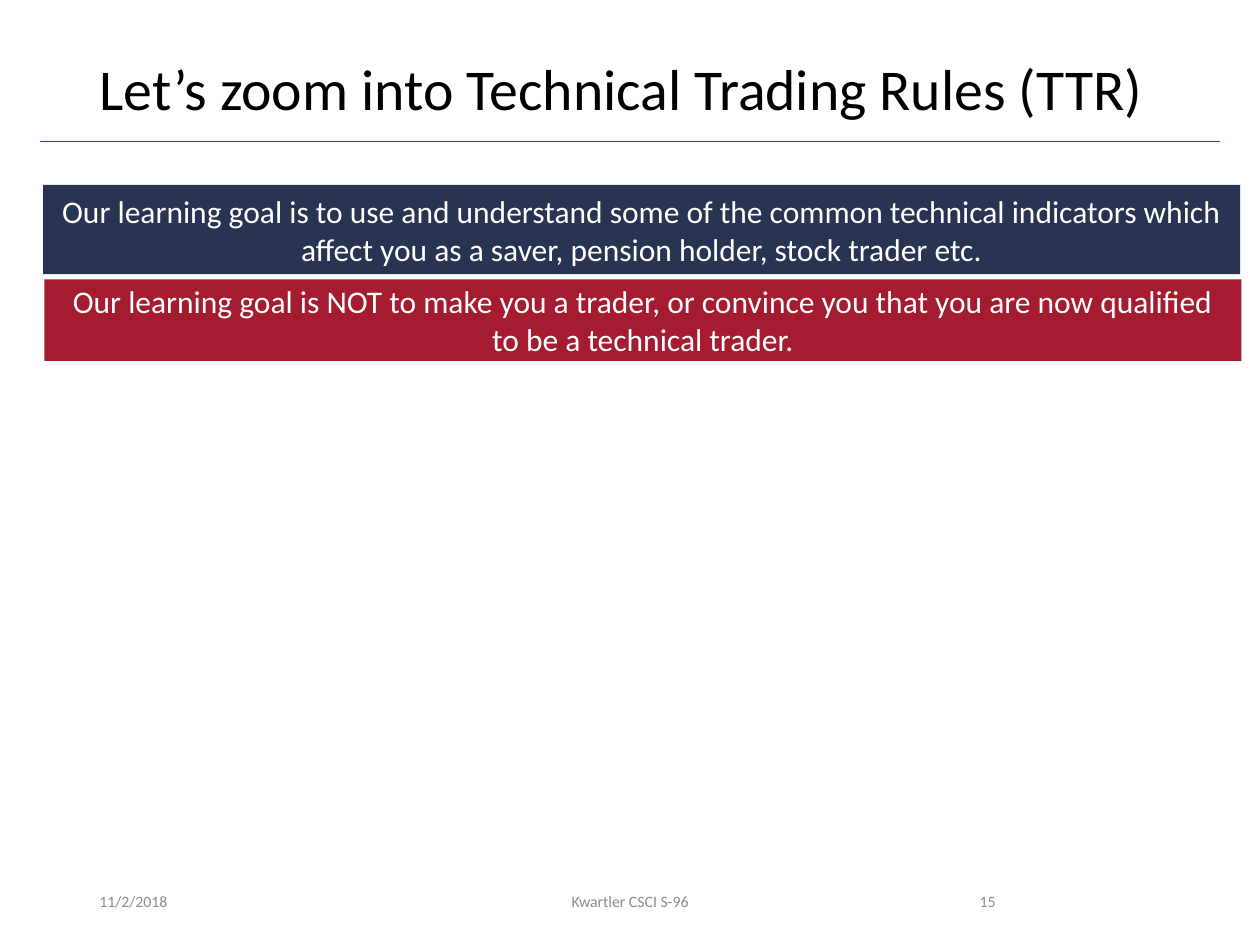
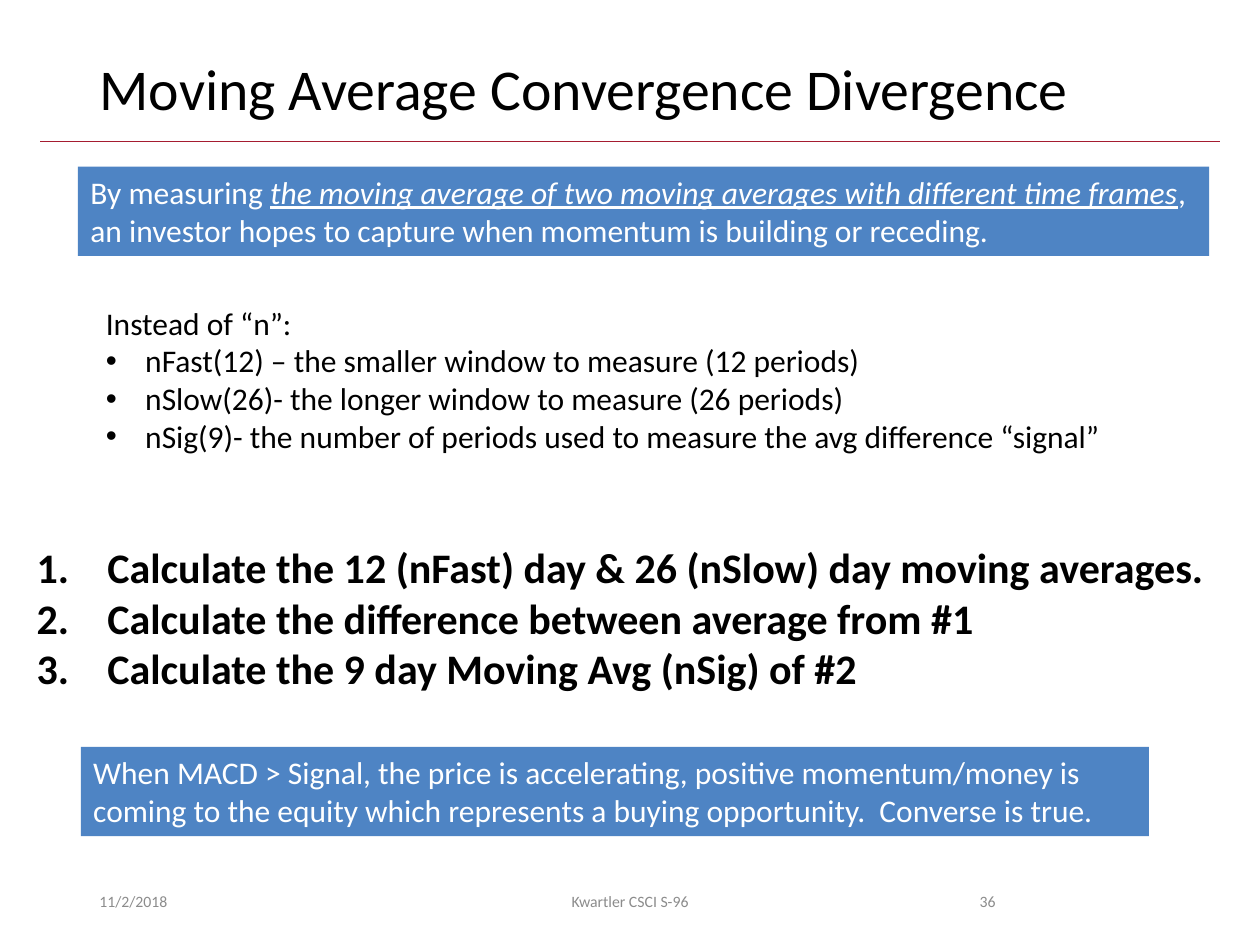
import pptx
import pptx.util
import pptx.dml.color
import pptx.enum.shapes
import pptx.enum.text
import pptx.oxml
import pptx.oxml.ns

Pt = pptx.util.Pt
Align = pptx.enum.text.PP_ALIGN
Anchor = pptx.enum.text.MSO_ANCHOR


class Theme:
    font = "Calibri"
    black, white, gray = "000000", "FFFFFF", "8C8C8C"
    navy, crimson, blue = "293352", "A51C30", "4E84C4"
    title_size, step_size, text_size, footer_size = 33, 24, 18, 9


def style(paragraph, size, color, align=Align.LEFT, bold=False):
    paragraph.alignment = align
    paragraph.space_before = Pt(0)
    for span in paragraph.runs:
        span.font.name = Theme.font
        span.font.size = Pt(size)
        span.font.bold = bold
        span.font.color.rgb = pptx.dml.color.RGBColor.from_string(color)


def place(shape, left, top, width, height):
    shape.left, shape.top = Pt(left), Pt(top)
    shape.width, shape.height = Pt(width), Pt(height)


deck = pptx.Presentation()
deck.slide_width, deck.slide_height = Pt(720), Pt(540)
title_only, two_content = deck.slide_layouts[5], deck.slide_layouts[3]

# Shared frame: title, rule and footer
pages = []
for layout, title, number in [
    (title_only, "Let’s zoom into Technical Trading Rules (TTR)", "15"),
    (two_content, "Moving Average Convergence Divergence", "36"),
]:
    page = deck.slides.add_slide(layout)
    pages.append(page)

    heading = page.shapes.title
    place(heading, 49.7, 28.8, 620.6, 46.8)
    heading.text_frame.text = title
    heading.text_frame.vertical_anchor = Anchor.MIDDLE
    heading.text_frame.auto_size = pptx.enum.text.MSO_AUTO_SIZE.NONE
    heading.text_frame.paragraphs[0].line_spacing = 0.9
    style(heading.text_frame.paragraphs[0], Theme.title_size, Theme.black)

    rule = page.shapes.add_connector(
        pptx.enum.shapes.MSO_CONNECTOR.STRAIGHT, Pt(23), Pt(80.6), Pt(697), Pt(80.6))
    rule.line.color.rgb = pptx.dml.color.RGBColor.from_string(Theme.crimson)
    rule.line.width = Pt(0.5)
    properties = rule._element.spPr
    properties.append(pptx.oxml.parse_xml(
        f"<a:effectLst {pptx.oxml.ns.nsdecls('a')}/>"))

    for text, left, width, align in [
        ("11/2/2018", 49.7, 162, Align.LEFT),
        ("Kwartler CSCI S-96", 238.5, 243, Align.CENTER),
        (number, 508.5, 67.5, Align.RIGHT),
    ]:
        footer = page.shapes.add_textbox(Pt(left), Pt(500.5), Pt(width), Pt(28.8))
        footer.text_frame.word_wrap = True
        footer.text_frame.vertical_anchor = Anchor.MIDDLE
        footer.text_frame.text = text
        style(footer.text_frame.paragraphs[0], Theme.footer_size, Theme.gray, align)

goals_page, macd_page = pages

# Coloured banners; each text is a list of spans, odd spans are emphasised
for page, bounds, fill, align, anchor, texts in [
    (goals_page, (24.7, 105.7, 684, 51), Theme.navy, Align.CENTER, Anchor.MIDDLE,
     ["Our learning goal is to use and understand some of the common technical "
      "indicators which affect you as a saver, pension holder, stock trader etc."]),
    (goals_page, (25.4, 159.7, 684, 46.6), Theme.crimson, Align.CENTER, Anchor.MIDDLE,
     ["Our learning goal is NOT to make you a trader, or convince you that you "
      "are now qualified to be a technical trader."]),
    (macd_page, (44.6, 95.2, 646.4, 51), Theme.blue, Align.LEFT, Anchor.TOP,
     ["By measuring ",
      "the moving average of two moving averages with different time frames",
      ", an investor hopes to capture when momentum is building or receding."]),
    (macd_page, (46.2, 426.8, 610.4, 51), Theme.blue, Align.LEFT, Anchor.TOP,
     ["When MACD > Signal, the price is accelerating, positive momentum/money is "
      "coming to the equity which represents a buying opportunity.  Converse is true."]),
]:
    banner = page.shapes.add_shape(
        pptx.enum.shapes.MSO_SHAPE.RECTANGLE, *[Pt(length) for length in bounds])
    banner.shadow.inherit = False
    banner.fill.solid()
    banner.fill.fore_color.rgb = pptx.dml.color.RGBColor.from_string(fill)
    banner.line.fill.background()
    banner.text_frame.word_wrap = True
    banner.text_frame.vertical_anchor = anchor
    para = banner.text_frame.paragraphs[0]
    for position, text in enumerate(texts):
        span = para.add_run()
        span.text = text
        if position % 2:
            span.font.italic = span.font.underline = True
    style(para, Theme.text_size, Theme.white, align)

# Parameter list and numbered steps
no_bullet = "<a:buNone {}/>"
dot = '<a:buChar {} char="•"/>'
numbered = '<a:buAutoNum {} type="arabicPeriod"/>'
for index, bounds, size, bold, indent, items in [
    (1, (53.3, 169.9, 584.6, 94.5), Theme.text_size, False, 22.5, [
        (no_bullet, "Instead of “n”:"),
        (dot, "nFast(12) – the smaller window to measure (12 periods)"),
        (dot, "nSlow(26)- the longer window to measure (26 periods)"),
        (dot, "nSig(9)- the number of periods used to measure the avg difference “signal”"),
    ]),
    (2, (13.7, 306, 687.6, 94.5), Theme.step_size, True, 40.5, [
        (numbered, "Calculate the 12 (nFast) day & 26 (nSlow) day moving averages."),
        (numbered, "Calculate the difference between average from #1"),
        (numbered, "Calculate the 9 day Moving Avg (nSig) of #2"),
    ]),
]:
    box = macd_page.placeholders[index]
    place(box, *bounds)
    frame = box.text_frame
    frame.word_wrap = False
    frame.auto_size = pptx.enum.text.MSO_AUTO_SIZE.SHAPE_TO_FIT_TEXT
    frame.text = "\n".join(text for bullet, text in items)
    for para, (bullet, text) in zip(frame.paragraphs, items):
        hanging = 0 if bullet == no_bullet else Pt(indent)
        settings = para._p.get_or_add_pPr()
        settings.set("marL", str(hanging))
        settings.set("indent", str(-hanging))
        settings.append(pptx.oxml.parse_xml(bullet.format(pptx.oxml.ns.nsdecls("a"))))
        style(para, size, Theme.black, bold=bold)

deck.save("out.pptx")
